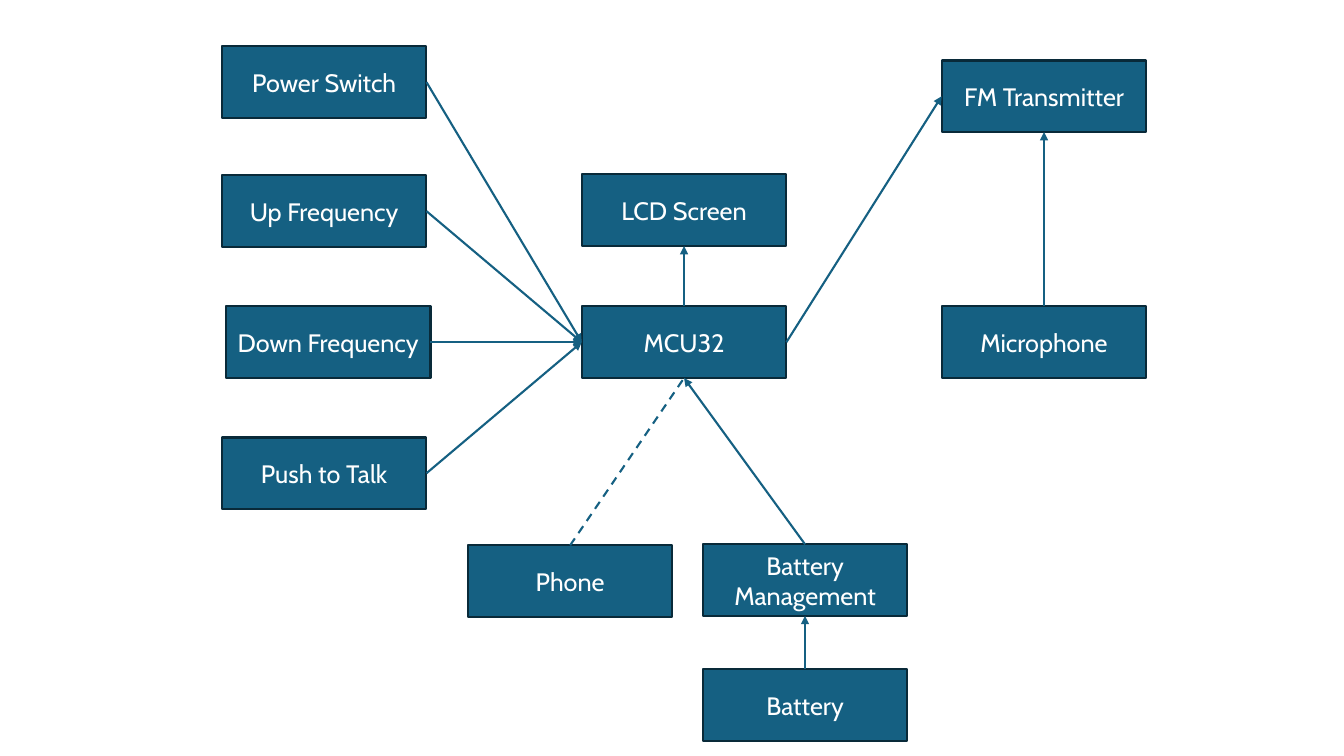
from lxml import etree
from pptx import Presentation
from pptx.dml.color import RGBColor
from pptx.enum.dml import MSO_LINE
from pptx.enum.shapes import MSO_CONNECTOR, MSO_SHAPE
from pptx.enum.text import MSO_ANCHOR, PP_ALIGN
from pptx.oxml.ns import qn
from pptx.util import Inches, Pt

RECTANGLE = MSO_SHAPE.RECTANGLE
STRAIGHT = MSO_CONNECTOR.STRAIGHT
DASH = MSO_LINE.DASH
MIDDLE = MSO_ANCHOR.MIDDLE
CENTER = PP_ALIGN.CENTER
TOP, LEFT, BOTTOM, RIGHT = range(4)

BLOCKS = {
    "MCU32": (5.77, 3.04),
    "LCD Screen": (5.77, 1.73),
    "Power Switch": (2.2, 0.46),
    "Up Frequency": (2.2, 1.74),
    "Down Frequency": (2.24, 3.04),
    "Push to Talk": (2.2, 4.34),
    "Phone": (4.64, 5.41),
    "Battery Management": (6.97, 5.4),
    "Battery": (6.97, 6.64),
    "Microphone": (9.34, 3.04),
    "FM Transmitter": (9.34, 0.6),
}
ARROWS = [
    ("Power Switch", RIGHT, "MCU32", LEFT),
    ("Up Frequency", RIGHT, "MCU32", LEFT),
    ("Down Frequency", RIGHT, "MCU32", LEFT),
    ("Push to Talk", RIGHT, "MCU32", LEFT),
    ("MCU32", TOP, "LCD Screen", BOTTOM),
    ("MCU32", RIGHT, "FM Transmitter", LEFT),
    ("Microphone", TOP, "FM Transmitter", BOTTOM),
    ("Battery", TOP, "Battery Management", BOTTOM),
    ("Battery Management", TOP, "MCU32", BOTTOM),
]
DASHED_LINK = ("Phone", TOP, "MCU32", BOTTOM)

BLOCK_WIDTH, BLOCK_HEIGHT = 2.03, 0.71
LINE_WIDTH = 1.5
FONT, FONT_SIZE = "Cabin", 18
BLUE, NAVY, WHITE = "156082", "092A39", "FFFFFF"


def color(value):
    return RGBColor.from_string(value)


def add_block(slide, label, left, top):
    shape = slide.shapes.add_shape(
        RECTANGLE, Inches(left), Inches(top), Inches(BLOCK_WIDTH), Inches(BLOCK_HEIGHT)
    )
    shape.shadow.inherit = False
    shape.fill.solid()
    shape.fill.fore_color.rgb = color(BLUE)
    shape.line.color.rgb = color(NAVY)
    shape.line.width = Pt(LINE_WIDTH)
    text_frame = shape.text_frame
    text_frame.word_wrap = True
    text_frame.vertical_anchor = MIDDLE
    paragraph = text_frame.paragraphs[0]
    paragraph.alignment = CENTER
    run = paragraph.add_run()
    run.text = label
    run.font.name = FONT
    run.font.size = Pt(FONT_SIZE)
    run.font.color.rgb = color(WHITE)
    return shape


def add_link(slide, blocks, source, source_side, target, target_side):
    connector = slide.shapes.add_connector(STRAIGHT, 0, 0, 0, 0)
    connector.begin_connect(blocks[source], source_side)
    connector.end_connect(blocks[target], target_side)
    connector.line.color.rgb = color(BLUE)
    connector.line.width = Pt(LINE_WIDTH)
    etree.SubElement(connector._element.spPr, qn("a:effectLst"))
    return connector


def add_arrowhead(connector):
    line = connector.line._get_or_add_ln()
    etree.SubElement(line, qn("a:tailEnd"), type="triangle")


def main():
    presentation = Presentation()
    presentation.slide_width = Inches(13.33)
    presentation.slide_height = Inches(7.5)
    slide = presentation.slides.add_slide(presentation.slide_layouts[6])
    blocks = {
        label: add_block(slide, label, left, top)
        for label, (left, top) in BLOCKS.items()
    }
    for arrow in ARROWS:
        add_arrowhead(add_link(slide, blocks, *arrow))
    add_link(slide, blocks, *DASHED_LINK).line.dash_style = DASH
    presentation.save("out.pptx")


if __name__ == "__main__":
    main()
